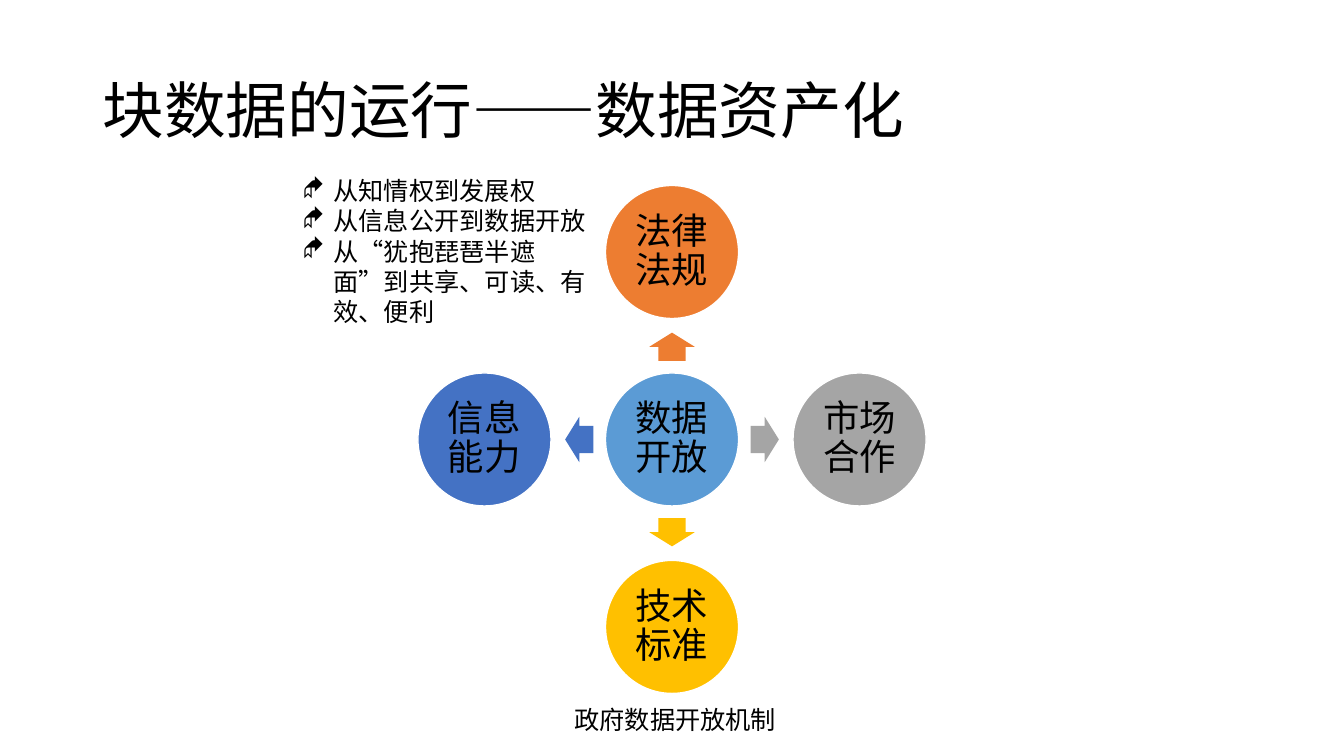
import pptx
import pptx.util
import pptx.dml.color
import pptx.enum.shapes
import pptx.enum.text
import pptx.oxml
import pptx.oxml.ns

RGB = pptx.dml.color.RGBColor
BLACK, WHITE = RGB(0, 0, 0), RGB(255, 255, 255)
SKY, ORANGE, GRAY = RGB(0x5B, 0x9B, 0xD5), RGB(0xED, 0x7D, 0x31), RGB(0xA5, 0xA5, 0xA5)
GOLD, BLUE = RGB(0xFF, 0xC0, 0), RGB(0x44, 0x72, 0xC4)

TITLE = "块数据的运行——数据资产化"
CAPTION = "政府数据开放机制"
POINTS = [
    "从知情权到发展权",
    "从信息公开到数据开放",
    "从“犹抱琵琶半遮面”到共享、可读、有效、便利",
]
# text, fill, column and row from the hub, arrow turn
NODES = [
    ("数据开放", SKY, 0, 0, None),
    ("法律法规", ORANGE, 0, -1, 270),
    ("市场合作", GRAY, 1, 0, 0),
    ("技术标准", GOLD, 0, 1, 90),
    ("信息能力", BLUE, -1, 0, 180),
]

WIDE, HIGH = 13.33, 7.5
MID_X, MID_Y = WIDE / 2, 4.36
STEP, DISC = 1.86, 1.32
ARROW_W, ARROW_H, ARROW_OUT = 0.28, 0.45, 0.92
INSET = 0.04

INCH, PT = pptx.util.Inches, pptx.util.Pt
SHAPE = pptx.enum.shapes.MSO_SHAPE
MIDDLE = pptx.enum.text.MSO_ANCHOR.MIDDLE
CENTER = pptx.enum.text.PP_ALIGN.CENTER


def style(para, size, **form):
    for name, value in form.items():
        setattr(para, name, value)
    font = para.font
    font.name, font.size, font.color.rgb = "Calibri", PT(size), BLACK


def bullet(para):
    """Add a hanging diamond bullet."""
    props = para._p.get_or_add_pPr()
    props.set("marL", str(INCH(0.31)))
    props.set("indent", str(-INCH(0.31)))
    space = pptx.oxml.ns.nsdecls("a")
    for tag in ('buFont %s typeface="Wingdings"', 'buChar %s char="◆"'):
        props.append(pptx.oxml.parse_xml("<a:" + tag % space + "/>"))


def write(slide, box, lines, size, mark=False, anchor=None, **form):
    frame = slide.shapes.add_textbox(*map(INCH, box)).text_frame
    frame.word_wrap = True
    frame.vertical_anchor = anchor
    frame.text = "\n".join(lines)
    for para in frame.paragraphs:
        if mark:
            bullet(para)
        style(para, size, **form)


def draw(slide, kind, x, y, wide, high, fill):
    """Add a filled shape centred on x, y."""
    box = (x - wide / 2, y - high / 2, wide, high)
    shape = slide.shapes.add_shape(kind, *map(INCH, box))
    shape.shadow.inherit = False
    shape.fill.solid()
    shape.fill.fore_color.rgb = fill
    shape.line.fill.background()
    return shape


def node(slide, text, fill, col, row, turn):
    if turn is not None:
        arrow = draw(slide, SHAPE.RIGHT_ARROW, MID_X + col * ARROW_OUT,
                     MID_Y + row * ARROW_OUT, ARROW_W, ARROW_H, fill)
        arrow.adjustments[0], arrow.adjustments[1] = 0.6, 0.5
        arrow.rotation = turn
    disc = draw(slide, SHAPE.OVAL, MID_X + col * STEP, MID_Y + row * STEP,
                DISC, DISC, fill)
    disc.line.color.rgb, disc.line.width = WHITE, PT(1)
    frame = disc.text_frame
    for side in ("left", "right", "top", "bottom"):
        setattr(frame, "margin_" + side, INCH(INSET))
    frame.word_wrap, frame.vertical_anchor = True, MIDDLE
    frame.text = text
    style(frame.paragraphs[0], 26, alignment=CENTER, line_spacing=0.9)


def main():
    deck = pptx.Presentation()
    deck.slide_width, deck.slide_height = INCH(WIDE), INCH(HIGH)
    slide = deck.slides.add_slide(deck.slide_layouts[6])
    write(slide, (0.92, 0.4, 11.5, 1.45), [TITLE], 44,
          anchor=MIDDLE, line_spacing=0.9)
    for item in NODES:
        node(slide, *item)
    write(slide, (5.6, 6.94, 2.32, 0.4), [CAPTION], 18)
    write(slide, (2.9, 1.69, 3.11, 1.62), POINTS, 18, mark=True)
    deck.save("out.pptx")


if __name__ == "__main__":
    main()
